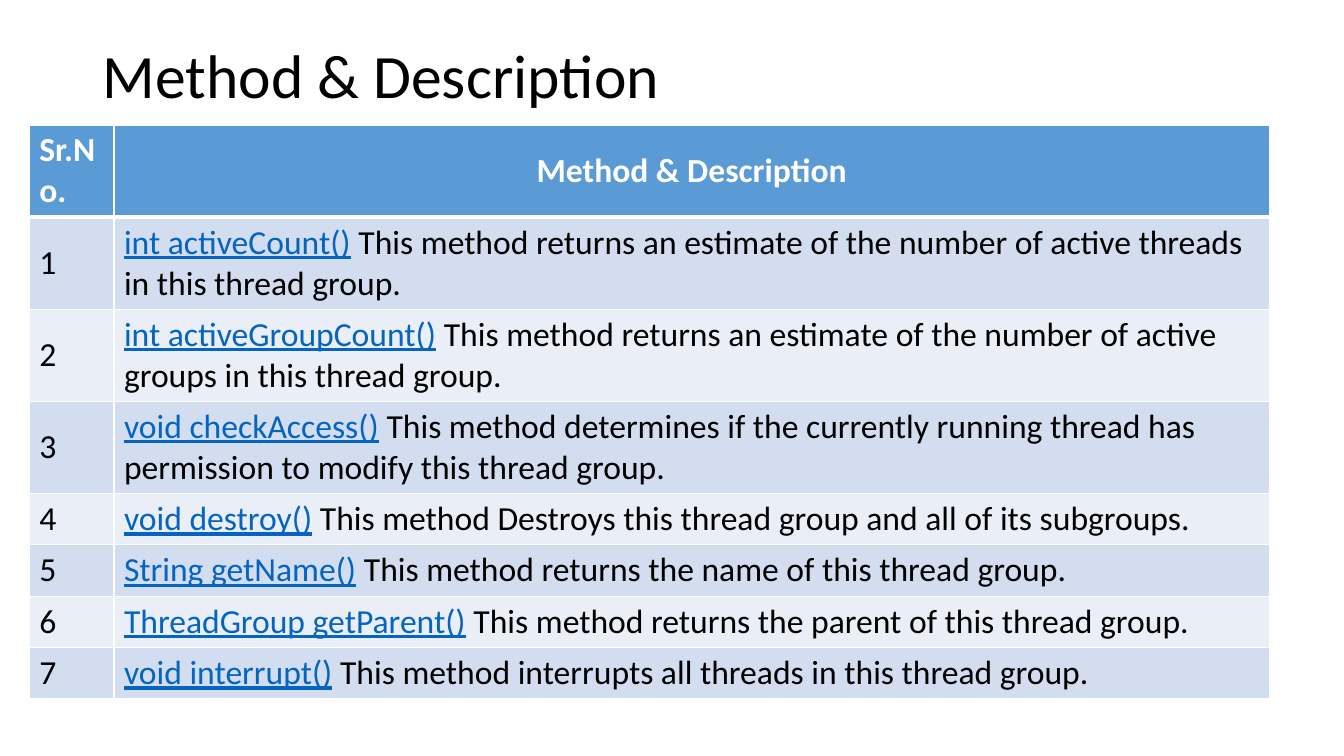
"""Build a slide with a table of thread group methods."""
from dataclasses import dataclass

from lxml import etree
from pptx import Presentation
from pptx.dml.color import RGBColor
from pptx.enum.text import MSO_ANCHOR, MSO_AUTO_SIZE, PP_ALIGN
from pptx.oxml.ns import qn
from pptx.util import Inches, Pt

TOP, MIDDLE = MSO_ANCHOR.TOP, MSO_ANCHOR.MIDDLE
LEFT, CENTER = PP_ALIGN.LEFT, PP_ALIGN.CENTER
NO_AUTOFIT = MSO_AUTO_SIZE.NONE

FONT = "Calibri"
BLACK, WHITE, LINK_BLUE = "000000", "FFFFFF", "0563C1"
HEADER_FILL = "5B9BD5"
BAND_FILLS = ("D2DEEF", "EAEFF7")
COLUMN_WIDTHS = (0.84, 11.46)
ONE_LINE, TWO_LINES = 0.51, 0.91


@dataclass(frozen=True)
class Run:
    text: str
    color: str = BLACK
    size: float = 24
    bold: bool = False
    underline: bool = False


@dataclass(frozen=True)
class Method:
    signature: str
    description: str
    height: float = ONE_LINE


METHODS = (
    Method("int activeCount()",
           "This method returns an estimate of the number of active threads in this thread group.",
           TWO_LINES),
    Method("int activeGroupCount()",
           "This method returns an estimate of the number of active groups in this thread group.",
           TWO_LINES),
    Method("void checkAccess()",
           "This method determines if the currently running thread has permission to modify this "
           "thread group.", TWO_LINES),
    Method("void destroy()", "This method Destroys this thread group and all of its subgroups."),
    Method("String getName()", "This method returns the name of this thread group."),
    Method("ThreadGroup getParent()", "This method returns the parent of this thread group."),
    Method("void interrupt()", "This method interrupts all threads in this thread group."),
)


def rgb(color: str) -> RGBColor:
    return RGBColor.from_string(color)


def add_runs(paragraph, runs: tuple[Run, ...]) -> None:
    for part in runs:
        run = paragraph.add_run()
        run.text = part.text
        run.font.name = FONT
        run.font.size = Pt(part.size)
        run.font.bold = part.bold
        run.font.underline = part.underline
        run.font.color.rgb = rgb(part.color)


def add_borders(cell, top: float, bottom: float) -> None:
    properties = cell._tc.get_or_add_tcPr()
    for side, width in (("L", 1), ("R", 1), ("T", top), ("B", bottom)):
        line = etree.SubElement(properties, qn(f"a:ln{side}"), w=str(Pt(width)))
        fill = etree.SubElement(line, qn("a:solidFill"))
        etree.SubElement(fill, qn("a:srgbClr"), val=WHITE)


def fill_cell(cell, runs: tuple[Run, ...], fill: str, align: PP_ALIGN = LEFT,
              top: float = 1, bottom: float = 1) -> None:
    add_borders(cell, top, bottom)
    cell.fill.solid()
    cell.fill.fore_color.rgb = rgb(fill)
    cell.vertical_anchor = MIDDLE
    paragraph = cell.text_frame.paragraphs[0]
    paragraph.alignment = align
    add_runs(paragraph, runs)


def add_title(slide) -> None:
    title = slide.shapes.title
    title.left, title.top = Inches(0.92), Inches(0.4)
    title.width, title.height = Inches(11.5), Inches(1.45)
    frame = title.text_frame
    frame.auto_size = NO_AUTOFIT
    frame.vertical_anchor = TOP
    heading = frame.paragraphs[0]
    heading.alignment = LEFT
    heading.line_spacing = 0.9
    add_runs(heading, (Run("Method & Description", size=44),))


def add_method_table(slide) -> None:
    heights = (TWO_LINES, *(method.height for method in METHODS))
    table = slide.shapes.add_table(
        len(heights), len(COLUMN_WIDTHS), Inches(0.29), Inches(1.24),
        Inches(sum(COLUMN_WIDTHS)), Inches(sum(heights))).table
    for column, width in zip(table.columns, COLUMN_WIDTHS):
        column.width = Inches(width)
    for row, height in zip(table.rows, heights):
        row.height = Inches(height)

    headers = (("Sr.No.", LEFT), ("Method & Description", CENTER))
    for column, (label, align) in enumerate(headers):
        fill_cell(table.cell(0, column), (Run(label, WHITE, bold=True),),
                  HEADER_FILL, align, bottom=3)

    for number, method in enumerate(METHODS, start=1):
        fill = BAND_FILLS[(number - 1) % 2]
        top = 3 if number == 1 else 1
        signature = Run(method.signature, LINK_BLUE, underline=True)
        description = Run(f" {method.description}")
        fill_cell(table.cell(number, 0), (Run(str(number)),), fill, top=top)
        fill_cell(table.cell(number, 1), (signature, description), fill, top=top)


def main() -> None:
    presentation = Presentation()
    presentation.slide_width = Inches(13.33)
    presentation.slide_height = Inches(7.5)
    slide = presentation.slides.add_slide(presentation.slide_layouts[5])
    add_title(slide)
    add_method_table(slide)
    presentation.save("out.pptx")


if __name__ == "__main__":
    main()
